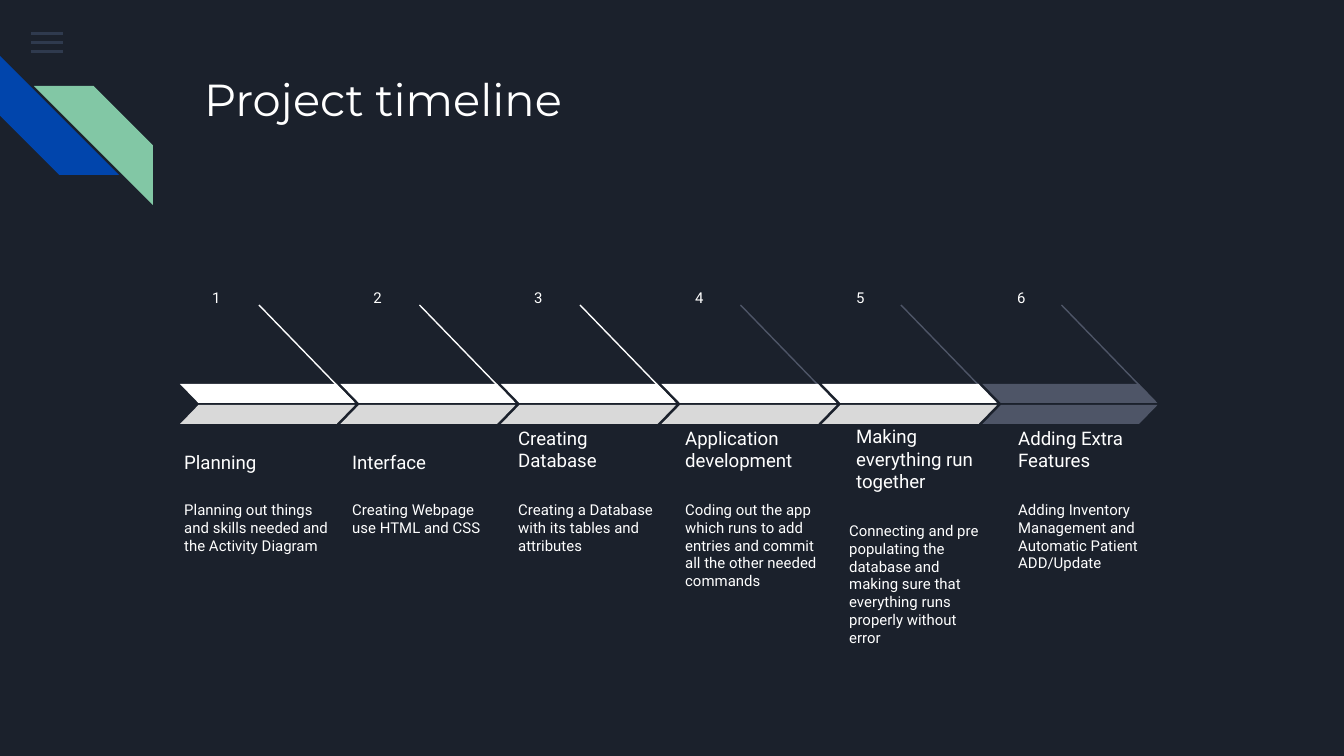
from pptx import Presentation
from pptx.dml.color import RGBColor
from pptx.enum import shapes, text
from pptx.oxml import parse_xml
from pptx.oxml.ns import nsdecls, qn
from pptx.util import Pt

THEME = dict(
    bg="1B212C", white="FFFFFF", light="D9D9D9", grey="4E5567",
    menu="55688B", blue="0145AC", green="82C7A5",
    heading_font="Montserrat", body_font="Roboto",
    title_size=24, head_size=10, body_size=8,
)
EMU_PER_PX = 914400 / 134.4


def px(n):
    return round(n * EMU_PER_PX)


prs = Presentation()
prs.slide_width, prs.slide_height = px(1344), px(756)
s = prs.slides.add_slide(prs.slide_layouts[6])
s.background.fill.solid()
s.background.fill.fore_color.rgb = RGBColor.from_string(THEME["bg"])


def add_shape(kind, x, y, w, h, color, adj=None, flip=False):
    sp = s.shapes.add_shape(kind, px(x), px(y), px(w), px(h))
    sp.shadow.inherit = False
    sp.fill.solid()
    sp.fill.fore_color.rgb = RGBColor.from_string(THEME[color])
    sp.line.fill.background()
    if adj is not None:
        sp.adjustments[0] = adj
    if flip:
        sp._element.spPr.find(qn("a:xfrm")).set("flipH", "1")
    return sp


def add_text(words, x, y, w, h, size="body_size", font="body_font", bottom=False):
    tf = s.shapes.add_textbox(px(x), px(y), px(w), px(h)).text_frame
    tf.word_wrap = True
    tf.margin_left = tf.margin_right = tf.margin_top = tf.margin_bottom = Pt(7.2)
    tf.vertical_anchor = text.MSO_ANCHOR.BOTTOM if bottom else text.MSO_ANCHOR.TOP
    tf.text = words
    f = tf.paragraphs[0].runs[0].font
    f.name, f.size = THEME[font], Pt(THEME[size])
    f.color.rgb = RGBColor.from_string(THEME["white"])
    return tf


# Menu icon
for i in range(3):
    bar = add_shape(shapes.MSO_SHAPE.RECTANGLE, 31, 32 + 9 * i, 32, 3, "menu")
    color = bar._element.spPr.find(qn("a:solidFill"))[0]
    color.append(parse_xml(f'<a:alpha {nsdecls("a")} val="36000"/>'))

# Corner stripes
stripe = shapes.MSO_SHAPE.DIAGONAL_STRIPE
add_shape(stripe, 0, 56, 119, 119, "blue", 0.5).rotation = 270
add_shape(stripe, 34, 86, 119, 119, "green", 0.5, flip=True)

# Title
add_text("Project timeline", 191, 58, 1035, 134, "title_size", "heading_font")

# Stages: text left, body left, drop of the text, line colour, upper and lower band colour
stages = [
    ("Planning", "Planning out things and skills needed and the Activity Diagram",
     171, 171, 0, "white", "white", "light"),
    ("Interface", "Creating Webpage use HTML and CSS",
     339, 339, 0, "white", "white", "light"),
    ("Creating Database", "Creating a Database with its tables and attributes",
     505, 505, 0, "white", "white", "light"),
    ("Application development",
     "Coding out the app which runs to add entries and commit all the other needed commands",
     672, 672, 0, "grey", "white", "light"),
    ("Making everything run together",
     "Connecting and pre populating the database and making sure that "
     "everything runs properly without error",
     843, 836, 21, "grey", "white", "light"),
    ("Adding Extra Features",
     "Adding Inventory Management and Automatic Patient ADD/Update",
     1005, 1005, 0, "grey", "grey", "grey"),
]
STEP = 160.5
for i, (head, body, head_x, body_x, drop, line, upper, lower) in enumerate(stages):
    # Number and texts
    add_text(str(i + 1), 199 + 161 * i, 280, 79, 31)
    width = 172 if i == 0 else 167
    add_text(head, head_x, 426 + drop, width, 59, "head_size", bottom=True)
    tf = add_text(body, body_x, 487 + drop, width, 98)
    tf.paragraphs[0].space_after = Pt(16)

    # Pointer line
    x = 259 + STEP * i
    cn = s.shapes.add_connector(shapes.MSO_CONNECTOR.STRAIGHT,
                                px(x), px(305), px(x + 94), px(402))
    cn.line.color.rgb = RGBColor.from_string(THEME[line])
    cn.line.width = Pt(0.75)
    cn._element.spPr.append(parse_xml(f'<a:effectLst {nsdecls("a")}/>'))

    # Two-part arrow band
    left = 180 + STEP * i
    band = shapes.MSO_SHAPE.PARALLELOGRAM
    add_shape(band, left, 384, 175, 19, upper, 0.97, flip=True)
    add_shape(band, left, 405, 175, 19, lower, 0.97)

prs.save("out.pptx")
